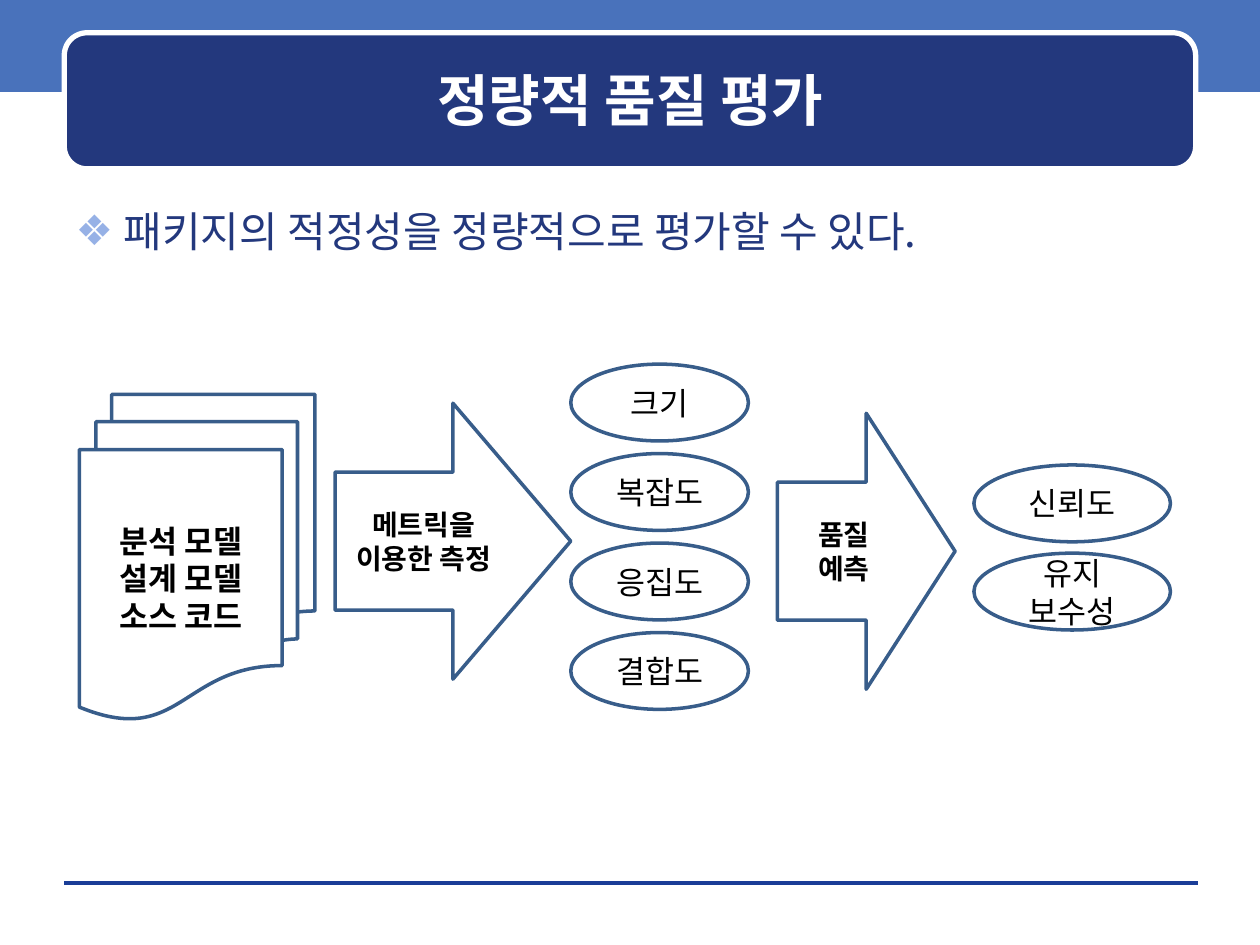
"""Build the slide on quantitative quality evaluation."""
from lxml import etree
from pptx import Presentation
from pptx.dml.color import RGBColor
from pptx.enum import shapes, text
from pptx.oxml import ns
from pptx.util import Inches, Pt

FONT = "Noto Sans CJK KR"
SHAPE = shapes.MSO_SHAPE


def color(value):
    return RGBColor.from_string(value)


def write(shape, lines, size, ink, bold=False, align=text.PP_ALIGN.CENTER,
          anchor=text.MSO_ANCHOR.MIDDLE):
    frame = shape.text_frame
    frame.text = "\n".join(lines)
    frame_format = {"word_wrap": True, "auto_size": text.MSO_AUTO_SIZE.NONE,
                    "vertical_anchor": anchor}
    for name, value in frame_format.items():
        setattr(frame, name, value)
    for paragraph in frame.paragraphs:
        paragraph.alignment = align
        font = paragraph.runs[0].font
        for name, value in {"size": Pt(size), "bold": bold, "name": FONT}.items():
            setattr(font, name, value)
        font.color.rgb = color(ink)
        properties = paragraph.runs[0]._r.get_or_add_rPr()
        etree.SubElement(properties, ns.qn("a:ea"), typeface=FONT)


presentation = Presentation()
presentation.slide_width, presentation.slide_height = Inches(10), Inches(7.5)
slide = presentation.slides.add_slide(presentation.slide_layouts[1])
title, body = slide.placeholders

band = slide.shapes.add_shape(SHAPE.RECTANGLE, 0, Inches(-0.03), Inches(10), Inches(0.76))
band.fill.solid()
band.fill.fore_color.rgb = color("4972BB")
band.line.fill.background()
band.shadow.inherit = False

rule = slide.shapes.add_connector(shapes.MSO_CONNECTOR.STRAIGHT, Inches(0.51), Inches(7.01),
                                  Inches(9.51), Inches(7.01))
rule.line.color.rgb = color("1A3D97")
rule.line.width = Pt(0)
etree.SubElement(rule._element.spPr, ns.qn("a:effectLst"))

banner = slide.shapes.add_shape(SHAPE.ROUNDED_RECTANGLE, Inches(0.51), Inches(0.26),
                                Inches(8.98), Inches(1.08))
banner.fill.solid()
banner.fill.fore_color.rgb = color("23387D")
banner.line.color.rgb = color("FFFFFF")
banner.line.width = Pt(3)
banner.shadow.inherit = False

for placeholder, box in ((title, (0.6, 0.35, 8.81, 0.88)), (body, (0.5, 1.58, 9, 5.33))):
    for name, value in zip(("left", "top", "width", "height"), box):
        setattr(placeholder, name, Inches(value))
    slide.shapes._spTree.append(placeholder._element)

write(title, ["정량적 품질 평가"], 32, "FFFFFF", bold=True)
write(body, ["패키지의 적정성을 정량적으로 평가할 수 있다."], 24, "23387D",
      align=text.PP_ALIGN.LEFT, anchor=text.MSO_ANCHOR.TOP)
paragraph = body.text_frame.paragraphs[0]
paragraph.space_before = Pt(0)
bullet = paragraph._p.get_or_add_pPr()
bullet.set("marL", str(Inches(0.38)))
bullet.set("indent", str(Inches(-0.38)))
bullet_color = etree.SubElement(bullet, ns.qn("a:buClr"))
etree.SubElement(bullet_color, ns.qn("a:srgbClr"), val="96B1E6")
etree.SubElement(bullet, ns.qn("a:buChar"), char="❖")

metrics = ["크기", "복잡도", "응집도", "결합도"]
qualities = [["신뢰도"], ["유지", "보수성"]]
diagram = [
    (SHAPE.FLOWCHART_MULTIDOCUMENT, (0.63, 3.13, 1.87, 2.58),
     ["분석 모델", "설계 모델", "소스 코드"], 18, True),
    (SHAPE.RIGHT_ARROW, (2.66, 3.2, 1.87, 2.19), ["메트릭을", "이용한 측정"], 16, True),
    *((SHAPE.OVAL, (4.53, 2.89 + 0.71 * row, 1.41, 0.61), [metric], 18, False)
      for row, metric in enumerate(metrics)),
    (SHAPE.RIGHT_ARROW, (6.17, 3.28, 1.41, 2.19), ["품질", "예측"], 16, True),
    *((SHAPE.OVAL, (7.73, 3.69 + 0.7 * row, 1.56, 0.61), quality, 18, False)
      for row, quality in enumerate(qualities)),
]
for kind, box, lines, size, bold in diagram:
    shape = slide.shapes.add_shape(kind, *map(Inches, box))
    shape.fill.background()
    shape.line.color.rgb = color("385D8A")
    shape.line.width = Pt(2)
    shape.shadow.inherit = False
    write(shape, lines, size, "000000", bold)

presentation.save("out.pptx")
